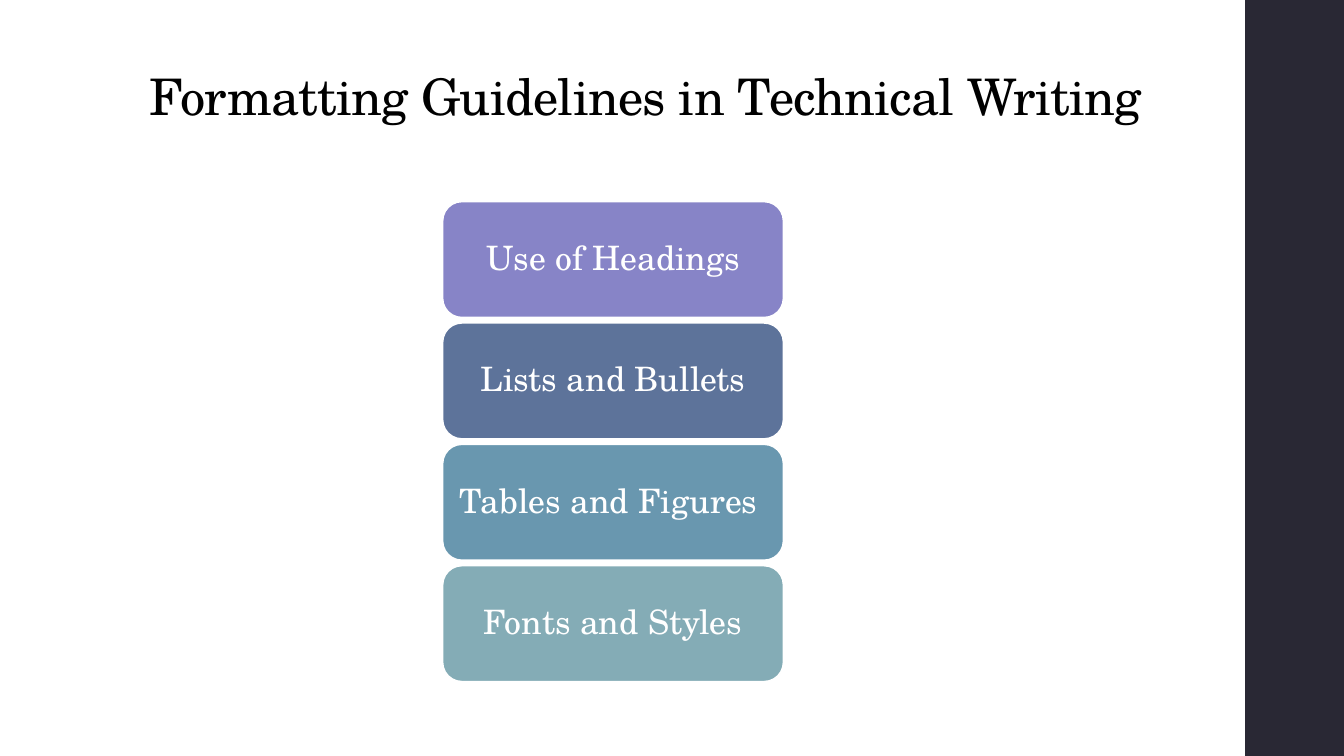
from pptx import Presentation
from pptx.dml.color import RGBColor
from pptx.enum.shapes import MSO_SHAPE
from pptx.enum.text import MSO_ANCHOR, PP_ALIGN
from pptx.util import Inches, Pt


def paint(form, tint):
    form.fill.solid()
    form.fill.fore_color.rgb = RGBColor.from_string(tint)


def style(frame, size, tint, align, anchor):
    frame.word_wrap = True
    frame.vertical_anchor = anchor
    para = frame.paragraphs[0]
    para.alignment = align
    para.line_spacing = 0.9
    font = para.runs[0].font
    font.name = "TeX Gyre Schola"
    font.size = Pt(size)
    font.color.rgb = RGBColor.from_string(tint)


deck = Presentation()
deck.slide_width = Inches(13.33)
deck.slide_height = Inches(7.5)
slide = deck.slides.add_slide(deck.slide_layouts[5])

band = slide.shapes.add_shape(
    MSO_SHAPE.RECTANGLE, Inches(12.35), 0, Inches(1), deck.slide_height)
band.shadow.inherit = False
paint(band, "292834")
band.line.fill.background()

title = slide.shapes.title
title.left, title.top = Inches(1.38), Inches(0.4)
title.width, title.height = Inches(10.6), Inches(1.45)
title.text_frame.text = "Formatting Guidelines in Technical Writing"
title.text_frame.margin_bottom = Inches(0.6)
style(title.text_frame, 36, "000000", PP_ALIGN.LEFT, MSO_ANCHOR.BOTTOM)
title.text_frame.paragraphs[0].runs[0].font._element.set("spc", "-50")

rules = [
    ("Use of Headings", "8784C7"),
    ("Lists and Bullets", "5D739A"),
    ("Tables and Figures ", "6997AF"),
    ("Fonts and Styles", "84ACB6"),
]
left, top, step = 4.39, 2, 1.204
for row, (label, tint) in enumerate(rules):
    card = slide.shapes.add_shape(
        MSO_SHAPE.ROUNDED_RECTANGLE,
        Inches(left), Inches(top + row * step), Inches(3.38), Inches(1.15))
    card.shadow.inherit = False
    paint(card, tint)
    paint(card.line, "FFFFFF")
    card.line.width = Pt(1.1)
    card.text_frame.text = label
    style(card.text_frame, 24, "FFFFFF", PP_ALIGN.CENTER, MSO_ANCHOR.MIDDLE)

deck.save("out.pptx")
